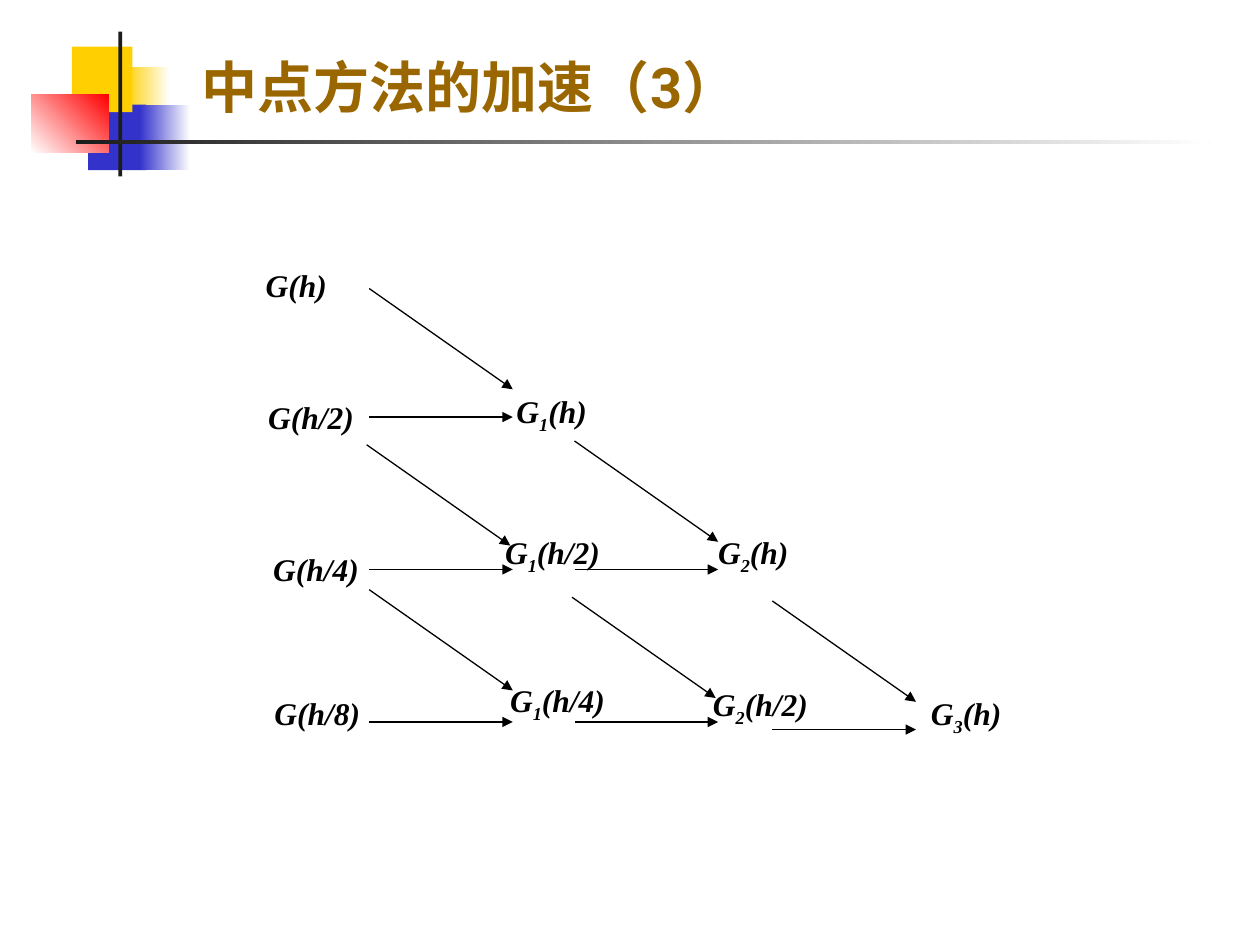
from lxml.etree import SubElement
from pptx import Presentation
from pptx.dml.color import RGBColor
from pptx.enum.shapes import MSO_CONNECTOR, MSO_SHAPE
from pptx.enum.text import MSO_ANCHOR, MSO_AUTO_SIZE, PP_ALIGN
from pptx.oxml.ns import qn
from pptx.util import Inches, Pt

BLACK = RGBColor(0x00, 0x00, 0x00)
WHITE = RGBColor(0xFF, 0xFF, 0xFF)
YELLOW = RGBColor(0xFF, 0xCF, 0x01)
BLUE = RGBColor(0x33, 0x33, 0xCC)
RED = RGBColor(0xFF, 0x00, 0x00)
CHARCOAL = RGBColor(0x1C, 0x1C, 0x1C)
BROWN = RGBColor(0x99, 0x66, 0x00)


def add_span(para, text, size=18, font="Times New Roman", color=BLACK, italic=True, subscript=False):
    span = para.add_run()
    span.text = text
    span.font.size = Pt(size)
    span.font.name = font
    span.font.bold = True
    span.font.italic = italic
    span.font.color.rgb = color
    properties = span.font._element
    SubElement(properties, qn("a:ea")).set("typeface", font)
    if subscript:
        properties.set("baseline", "-25000")


deck = Presentation()
deck.slide_width, deck.slide_height = Inches(10), Inches(7.5)
page = deck.slides.add_slide(deck.slide_layouts[5])

ornaments = [
    (0.99, 0.53, 0.36, 0.52, [YELLOW, WHITE], 0),
    (0.70, 0.83, 0.46, 0.52, [BLUE], 0),
    (0.57, 0.37, 0.48, 0.52, [YELLOW], 0),
    (1.11, 0.83, 0.40, 0.52, [BLUE, WHITE], 0),
    (0.25, 0.75, 0.61, 0.46, [WHITE, RED], 45),
    (0.94, 0.25, 0.03, 1.15, [CHARCOAL], 0),
    (0.60, 1.11, 9.00, 0.03, [CHARCOAL, WHITE], 0),
]
for left, top, width, height, colors, angle in ornaments:
    block = page.shapes.add_shape(
        MSO_SHAPE.RECTANGLE, Inches(left), Inches(top), Inches(width), Inches(height)
    )
    block.shadow.inherit = False
    block.line.fill.background()
    if len(colors) == 1:
        block.fill.solid()
        block.fill.fore_color.rgb = colors[0]
    else:
        block.fill.gradient()
        block.fill.gradient_angle = angle
        for position, (stop, color) in enumerate(zip(block.fill.gradient_stops, colors)):
            stop.position = position
            stop.color.rgb = color

title = page.shapes.title
title.left, title.top, title.width, title.height = Inches(1.5), Inches(0.17), Inches(7.83), Inches(0.83)
title.text_frame.vertical_anchor = MSO_ANCHOR.BOTTOM
title.text_frame.auto_size = MSO_AUTO_SIZE.NONE
title_para = title.text_frame.paragraphs[0]
title_para.alignment = PP_ALIGN.LEFT
add_span(title_para, "中点方法的加速（3）", size=32, font="Roboto", color=BROWN, italic=False)

ARROW_RUN = 1.14
ARROW_DROP = 0.8
level_starts = [(2.93, 3.31), (2.93, 4.52), (2.93, 5.73), (4.56, 4.52), (4.56, 5.73), (6.13, 5.79)]
sloping_starts = [(2.93, 2.29), (2.91, 3.53), (2.93, 4.68), (4.56, 3.5), (4.54, 4.74), (6.13, 4.77)]
for starts, drop in ((level_starts, 0), (sloping_starts, ARROW_DROP)):
    for x, y in starts:
        arrow = page.shapes.add_connector(
            MSO_CONNECTOR.STRAIGHT, Inches(x), Inches(y), Inches(x + ARROW_RUN), Inches(y + drop)
        )
        arrow.line.color.rgb = BLACK
        arrow.line.width = Pt(0.75)
        SubElement(arrow.line._get_or_add_ln(), qn("a:tailEnd")).set("type", "triangle")
        SubElement(arrow._element.spPr, qn("a:effectLst"))

labels = [
    (2.01, 2.06, 0.87, "", "(h)"),
    (2.03, 3.11, 1.08, "", "(h/2)"),
    (2.07, 4.32, 1.04, "", "(h/4)"),
    (2.08, 5.46, 1.03, "", "(h/8)"),
    (4.00, 3.06, 1.08, "1", "(h)"),
    (3.91, 4.18, 1.08, "1", "(h/2)"),
    (3.95, 5.36, 1.08, "1", "(h/4)"),
    (5.60, 4.18, 1.08, "2", "(h)"),
    (5.56, 5.39, 1.08, "2", "(h/2)"),
    (7.29, 5.46, 1.08, "3", "(h)"),
]
for left, top, width, order, step in labels:
    height = 0.44 if order else 0.4
    box = page.shapes.add_textbox(Inches(left), Inches(top), Inches(width), Inches(height))
    box.text_frame.word_wrap = True
    box.text_frame.auto_size = MSO_AUTO_SIZE.SHAPE_TO_FIT_TEXT
    para = box.text_frame.paragraphs[0]
    if order:
        add_span(para, "G")
        add_span(para, order, subscript=True)
        add_span(para, step)
    else:
        add_span(para, "G" + step)

deck.save("out.pptx")
